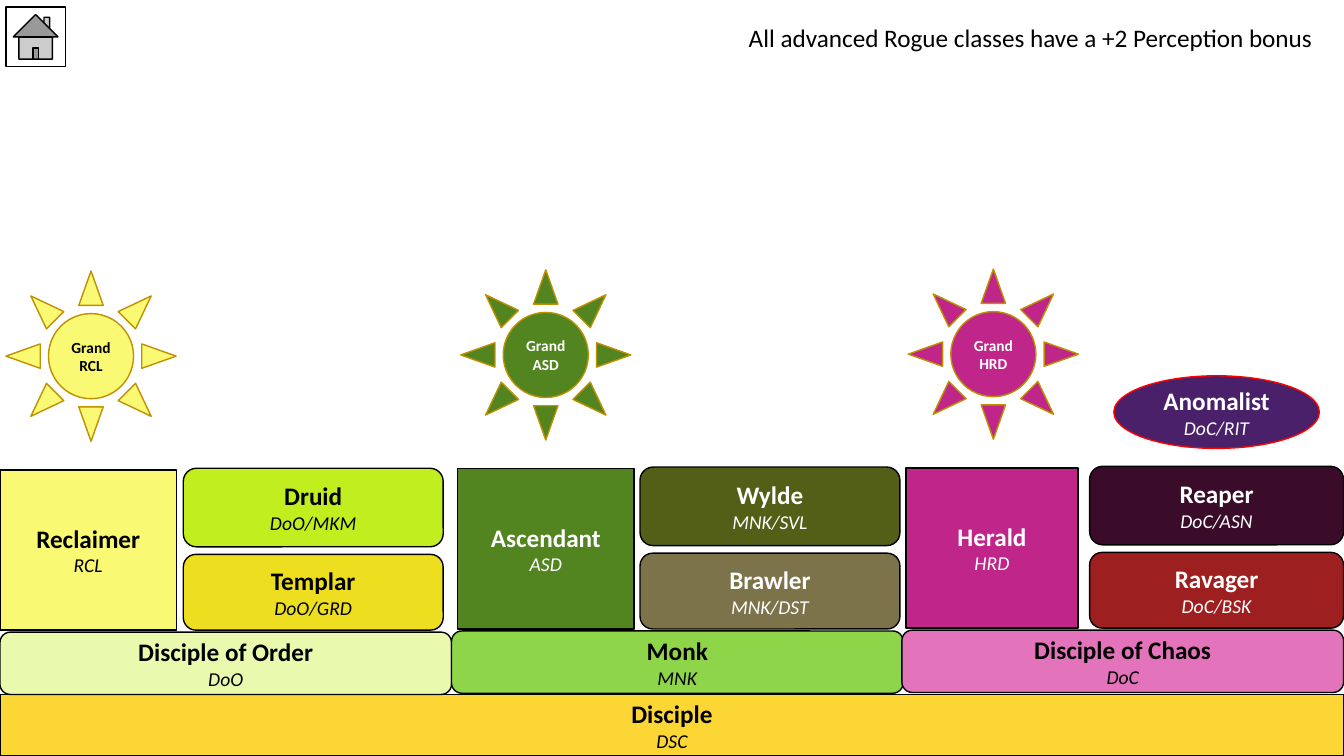
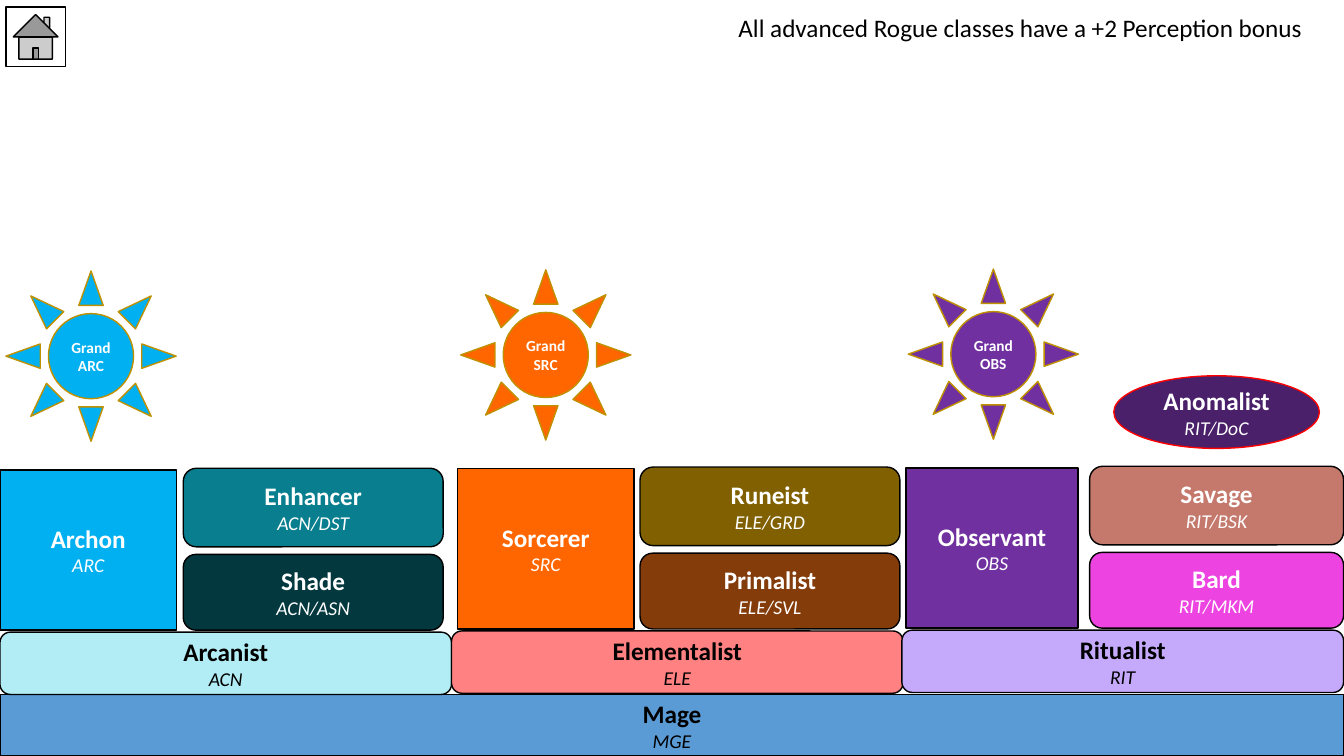
"""Build two class-tree slides: Disciple and Mage."""
from pptx import Presentation
from pptx.dml.color import RGBColor
from pptx.enum.shapes import MSO_SHAPE
from pptx.enum.text import MSO_ANCHOR, MSO_AUTO_SIZE, PP_ALIGN
from pptx.util import Cm, Pt

BLACK = RGBColor(0, 0, 0)
WHITE = RGBColor(255, 255, 255)
RED = RGBColor(255, 0, 0)
GOLD = RGBColor(0xBF, 0x90, 0x00)
ANOMALIST_PURPLE = RGBColor(0x4A, 0x20, 0x6A)
FONT = "Calibri"
BONUS = "All advanced Rogue classes have a +2 Perception bonus"
WIDTH = 33.87

# band left, band width, grand left, grand width, sun left, hybrid left, hybrid width, drop, sun break
COLUMNS = [
    (0, 11.38, 0, 4.45, 0.15, 4.62, 6.55, 0.05, "\n"),
    (11.38, 11.38, 11.53, 4.45, 11.61, 16.13, 6.55, 0.02, "\v"),
    (22.73, 11.13, 22.83, 4.34, 22.89, 27.46, 6.4, 0, "\v"),
]

TREES = [
    {
        "base": ("Disciple", "DSC", "FCD634"),
        "anomalist": "DoC/RIT",
        "bonus_at": (18.62, 0.43),
        "branches": [
            (BLACK, ("Disciple of Order", "DoO", "E9F9AD"), ("Reclaimer", "RCL", "F9F973"),
             ("Druid", "DoO/MKM", "C1EE1E"), ("Templar", "DoO/GRD", "EDDE1F")),
            (WHITE, ("Monk", "MNK", "8FD549"), ("Ascendant", "ASD", "528420"),
             ("Wylde", "MNK/SVL", "535F17"), ("Brawler", "MNK/DST", "7D734B")),
            (WHITE, ("Disciple of Chaos", "DoC", "E373BB"), ("Herald", "HRD", "C02689"),
             ("Reaper", "DoC/ASN", "3A0C2A"), ("Ravager", "DoC/BSK", "9D1F1F")),
        ],
    },
    {
        "base": ("Mage", "MGE", "5B9BD5"),
        "anomalist": "RIT/DoC",
        "bonus_at": (18.36, 0.18),
        "branches": [
            (WHITE, ("Arcanist", "ACN", "B2ECF4"), ("Archon", "ARC", "00B0F0"),
             ("Enhancer", "ACN/DST", "087E8E"), ("Shade", "ACN/ASN", "03383F")),
            (WHITE, ("Elementalist", "ELE", "FF8181"), ("Sorcerer", "SRC", "FF6600"),
             ("Runeist", "ELE/GRD", "806000"), ("Primalist", "ELE/SVL", "843C0B")),
            (WHITE, ("Ritualist", "RIT", "C5AAFC"), ("Observant", "OBS", "7030A0"),
             ("Savage", "RIT/BSK", "C4796C"), ("Bard", "RIT/MKM", "ED43E1")),
        ],
    },
]


def add_block(slide, kind, box, fill, line=BLACK):
    block = slide.shapes.add_shape(kind, *[Cm(length) for length in box])
    block.shadow.inherit = False
    block.fill.solid()
    block.fill.fore_color.rgb = fill
    block.line.color.rgb = line
    block.line.width = Pt(1)
    return block


def write_label(block, text, ink, sizes=(18, 14), code_italic=True):
    frame = block.text_frame
    frame.text = text
    frame.vertical_anchor = MSO_ANCHOR.MIDDLE
    for row, paragraph in enumerate(frame.paragraphs):
        paragraph.alignment = PP_ALIGN.CENTER
        font = paragraph.font
        font.name = FONT
        font.size = Pt(sizes[row])
        font.color.rgb = ink
        font.italic = row == 1 and code_italic
        font.bold = not font.italic


deck = Presentation()
deck.slide_width = Cm(WIDTH)
deck.slide_height = Cm(19.05)

for tree in TREES:
    slide = deck.slides.add_slide(deck.slide_layouts[6])
    name, code, color = tree["base"]
    base = add_block(slide, MSO_SHAPE.RECTANGLE, (0, 17.5, WIDTH, 1.55), RGBColor.from_string(color))
    write_label(base, f"{name}\n{code}", BLACK)

    for column, branch in zip(COLUMNS, tree["branches"]):
        band_x, band_w, grand_x, grand_w, sun_x, hybrid_x, hybrid_w, drop, sun_break = column
        ink, band, grand, upper, lower = branch
        tiles = [
            (band, MSO_SHAPE.ROUNDED_RECTANGLE, (band_x, 15.88 + drop, band_w, 1.57), BLACK),
            (grand, MSO_SHAPE.RECTANGLE, (grand_x, 11.79 + drop, grand_w, 4.04), ink),
            (lower, MSO_SHAPE.ROUNDED_RECTANGLE, (hybrid_x, 13.92 + drop, hybrid_w, 1.91), ink),
            (upper, MSO_SHAPE.ROUNDED_RECTANGLE, (hybrid_x, 11.75 + drop, hybrid_w, 1.98), ink),
        ]
        for (name, code, color), kind, box, tile_ink in tiles:
            tile = add_block(slide, kind, box, RGBColor.from_string(color))
            write_label(tile, f"{name}\n{code}", tile_ink)

        sun = add_block(slide, MSO_SHAPE.SUN, (sun_x, 6.78 + drop, 4.29, 4.29),
                        RGBColor.from_string(grand[2]), GOLD)
        sun.text_frame.margin_left = sun.text_frame.margin_right = 0
        write_label(sun, f"Grand{sun_break}{grand[1]}", ink, (11, 11), False)

    anomalist = add_block(slide, MSO_SHAPE.OVAL, (28.07, 9.47, 5.18, 1.83), ANOMALIST_PURPLE, RED)
    write_label(anomalist, f"Anomalist\n{tree['anomalist']}", WHITE)

    add_block(slide, MSO_SHAPE.ACTION_BUTTON_HOME, (0.15, 0.18, 1.5, 1.5), WHITE)

    bonus_x, bonus_y = tree["bonus_at"]
    bonus = slide.shapes.add_textbox(Cm(bonus_x), Cm(bonus_y), Cm(14.88), Cm(1.02)).text_frame
    bonus.word_wrap = False
    bonus.auto_size = MSO_AUTO_SIZE.SHAPE_TO_FIT_TEXT
    bonus.text = BONUS
    bonus_font = bonus.paragraphs[0].font
    bonus_font.name = FONT
    bonus_font.size = Pt(18)
    bonus_font.color.rgb = BLACK

deck.save("out.pptx")
